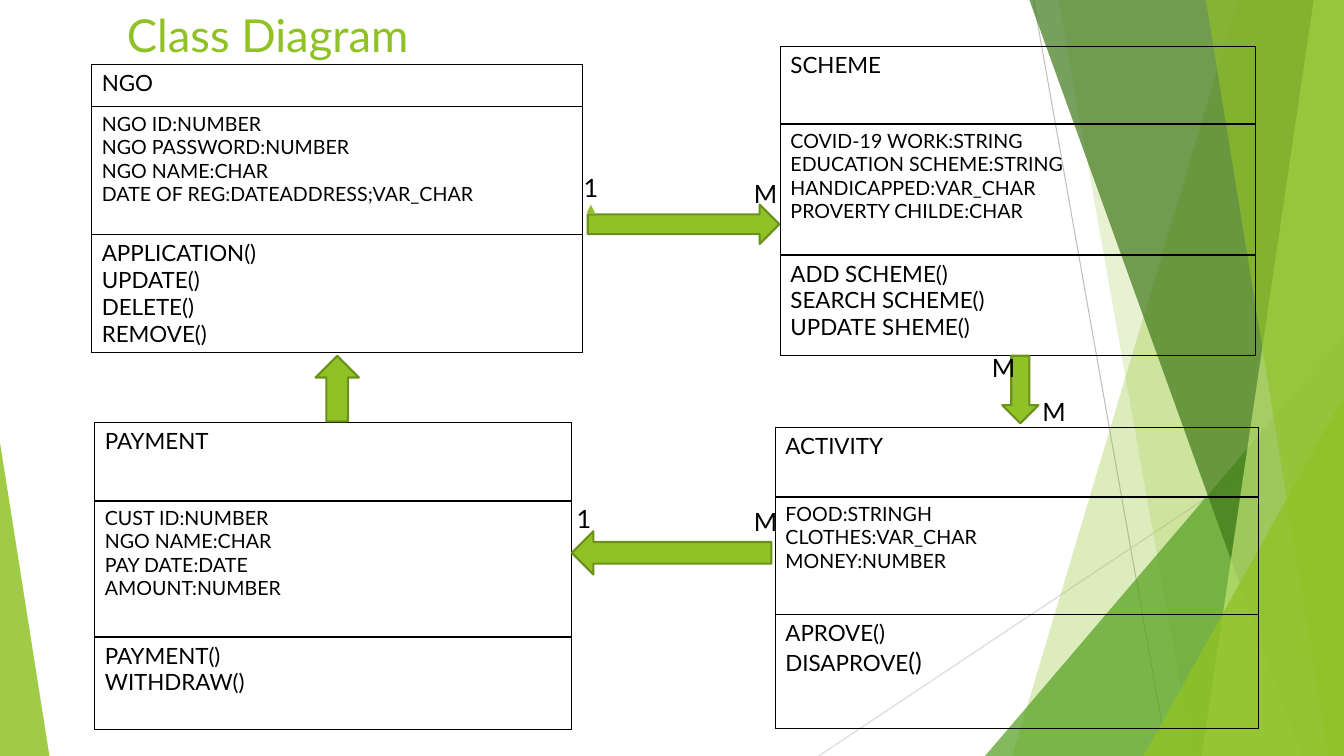
from lxml.etree import SubElement
from pptx import Presentation
from pptx.dml.color import RGBColor
from pptx.enum.shapes import MSO_CONNECTOR, MSO_SHAPE
from pptx.oxml.ns import qn
from pptx.util import Inches, Pt

COLORS = {"green": "90C226", "edge": "6B901C", "mid": "54A021", "dark": "3F7819",
          "lime": "C0E474", "grey": "BFBFBF", "pale": "D9D9D9", "black": "000000"}
FONT = "Lato"
BOTTOM, RIGHT = 7.5, 13.33

RAYS = [((10.25, 0), (11.58, BOTTOM), "grey"), ((RIGHT, 4.03), (8.12, BOTTOM), "pale")]
FACETS = [
    ("band", 12.28, 10.04, "green", 30),
    ("band", 10.5, 11.83, "green", 20),
    ("triangle", (9.77, 3.33, 3.56, 4.17), 1, "mid", 72),
    ("band", 10.21, 12.91, "dark", 70),
    ("band", 13.03, 11.92, "lime", 70),
    ("band", 11.96, 13.18, "green", 65),
    ("triangle", (11.34, 3.93, 1.99, 3.57), 1, "green", 80),
    ("triangle", (0, 4.39, 0.49, 3.11), 0, "green", 85),
]
CLASSES = [
    ((0.94, 4.19, 4.73), (0.78, 1.35, 0.92), ["PAYMENT"],
     ["CUST ID:NUMBER", "NGO NAME:CHAR", "PAY DATE:DATE", "AMOUNT:NUMBER"],
     ["PAYMENT()", "WITHDRAW()"]),
    ((0.91, 0.64, 4.87), (0.42, 1.27, 1.16), ["NGO"],
     ["NGO ID:NUMBER", "NGO PASSWORD:NUMBER", "NGO NAME:CHAR",
      "DATE OF REG:DATEADDRESS;VAR_CHAR"],
     ["APPLICATION()", "UPDATE()", "DELETE()", "REMOVE()"]),
    ((7.74, 0.46, 4.71), (0.77, 1.3, 1), ["SCHEME"],
     ["COVID-19 WORK:STRING", "EDUCATION SCHEME:STRING", "HANDICAPPED:VAR_CHAR",
      "PROVERTY CHILDE:CHAR"],
     ["ADD SCHEME()", "SEARCH SCHEME()", "UPDATE SHEME()"]),
    ((7.69, 4.24, 4.79), (0.69, 1.17, 1.13), ["ACTIVITY"],
     ["FOOD:STRINGH", "CLOTHES:VAR_CHAR", "MONEY:NUMBER"],
     ["APROVE()", [("DISAPROVE", 16), ("()", 18)]]),
]
ARROWS = [
    (MSO_SHAPE.RIGHT_ARROW, (5.83, 2.03, 1.9, 0.39)),
    (MSO_SHAPE.DOWN_ARROW, (9.94, 3.53, 0.36, 0.67)),
    (MSO_SHAPE.UP_ARROW, (3.13, 3.53, 0.43, 0.65)),
    (MSO_SHAPE.LEFT_ARROW, (5.67, 5.27, 1.98, 0.43)),
]
LABELS = [("M", 10.24, 3.88), ("1", 5.62, 4.94), ("1", 5.69, 1.66),
          ("M", 7.38, 1.72), ("M", 9.74, 3.45), ("M", 7.38, 4.97)]


def rgb(name):
    """Return the named colour."""
    return RGBColor.from_string(COLORS[name])


def box(values):
    """Turn numbers in inches into lengths."""
    return [Inches(v) for v in values]


def add_run(p, text, size, color="black"):
    """Add a formatted run to a paragraph."""
    r = p.add_run()
    r.text = text
    for name, value in {"name": FONT, "size": Pt(size)}.items():
        setattr(r.font, name, value)
    r.font.color.rgb = rgb(color)


def add_label(s, text, x, y, w=0.6, h=0.4, size=18, color="black"):
    """Add a one-line text box."""
    tf = s.shapes.add_textbox(*box((x, y, w, h))).text_frame
    tf.word_wrap = True
    add_run(tf.paragraphs[0], text, size, color)


def add_line(s, start, end, color, width, arrow=False):
    """Add a straight line, with an optional arrowhead at its end."""
    c = s.shapes.add_connector(MSO_CONNECTOR.STRAIGHT, *box((*start, *end)))
    c.line.color.rgb = rgb(color)
    c.line.width = Pt(width)
    if arrow:
        SubElement(c.line._get_or_add_ln(), qn("a:tailEnd"), type="triangle")
    SubElement(c._element.spPr, qn("a:effectLst"))


def paint(sp, color, alpha=100, edge=None):
    """Fill a shape and draw or hide its outline."""
    sp.shadow.inherit = False
    sp.fill.solid()
    sp.fill.fore_color.rgb = rgb(color)
    if alpha < 100:
        clr = sp._element.spPr.find(qn("a:solidFill")).find(qn("a:srgbClr"))
        SubElement(clr, qn("a:alpha"), val=str(alpha * 1000))
    if edge:
        sp.line.color.rgb = rgb(edge)
        sp.line.width = Pt(1.5)
    else:
        sp.line.fill.background()


def add_band(s, top_x, bottom_x, color, alpha):
    """Add a full-height band that reaches the right edge."""
    points = [box(pt) for pt in
              ((top_x, 0), (RIGHT, 0), (RIGHT, BOTTOM), (bottom_x, BOTTOM))]
    fb = s.shapes.build_freeform(*points[0])
    fb.add_line_segments(points[1:], close=True)
    paint(fb.convert_to_shape(), color, alpha)


def add_triangle(s, place, apex, color, alpha):
    """Add a triangle with its apex at the given share of the width."""
    sp = s.shapes.add_shape(MSO_SHAPE.ISOSCELES_TRIANGLE, *box(place))
    sp.adjustments[0] = apex
    paint(sp, color, alpha)


def add_arrow(s, kind, place):
    """Add a block arrow."""
    paint(s.shapes.add_shape(kind, *box(place)), "green", edge="edge")


def add_borders(cell):
    """Draw black borders around a cell."""
    tc_pr = cell._tc.get_or_add_tcPr()
    for i, side in enumerate(("lnL", "lnR", "lnT", "lnB")):
        ln = tc_pr.makeelement(qn(f"a:{side}"), {"w": str(Pt(1))})
        fill = SubElement(ln, qn("a:solidFill"))
        SubElement(fill, qn("a:srgbClr"), val=COLORS["black"])
        tc_pr.insert(i, ln)


def add_class(s, place, heights, *sections):
    """Add a class box with name, attribute and method rows."""
    frame = s.shapes.add_table(3, 1, *box((*place, sum(heights))))
    tbl = frame.table
    for name in ("first_row", "horz_banding"):
        setattr(tbl, name, False)
    for i, (height, lines, size) in enumerate(zip(heights, sections, (16, 14, 16))):
        tbl.rows[i].height = Inches(height)
        cell = tbl.cell(i, 0)
        cell.fill.background()
        add_borders(cell)
        tf = cell.text_frame
        for n, line in enumerate(lines):
            p = tf.add_paragraph() if n else tf.paragraphs[0]
            runs = [(line, size)] if isinstance(line, str) else line
            for text, run_size in runs:
                add_run(p, text, run_size)


def main():
    """Build the class diagram slide."""
    prs = Presentation()
    prs.slide_width, prs.slide_height = Inches(RIGHT), Inches(BOTTOM)
    s = prs.slides.add_slide(prs.slide_layouts[6])
    for start, end, color in RAYS:
        add_line(s, start, end, color, 0.75)
    for kind, *facet in FACETS:
        {"band": add_band, "triangle": add_triangle}[kind](s, *facet)
    add_label(s, "Class Diagram", 1.16, 0.02, 9.4, 0.37, 32.4, "green")
    for item in CLASSES:
        add_class(s, *item)
    add_line(s, (5.86, 2.1), (5.86, 2.03), "green", 1, arrow=True)
    for kind, place in ARROWS:
        add_arrow(s, kind, place)
    for label in LABELS:
        add_label(s, *label)
    prs.save("out.pptx")


main()
